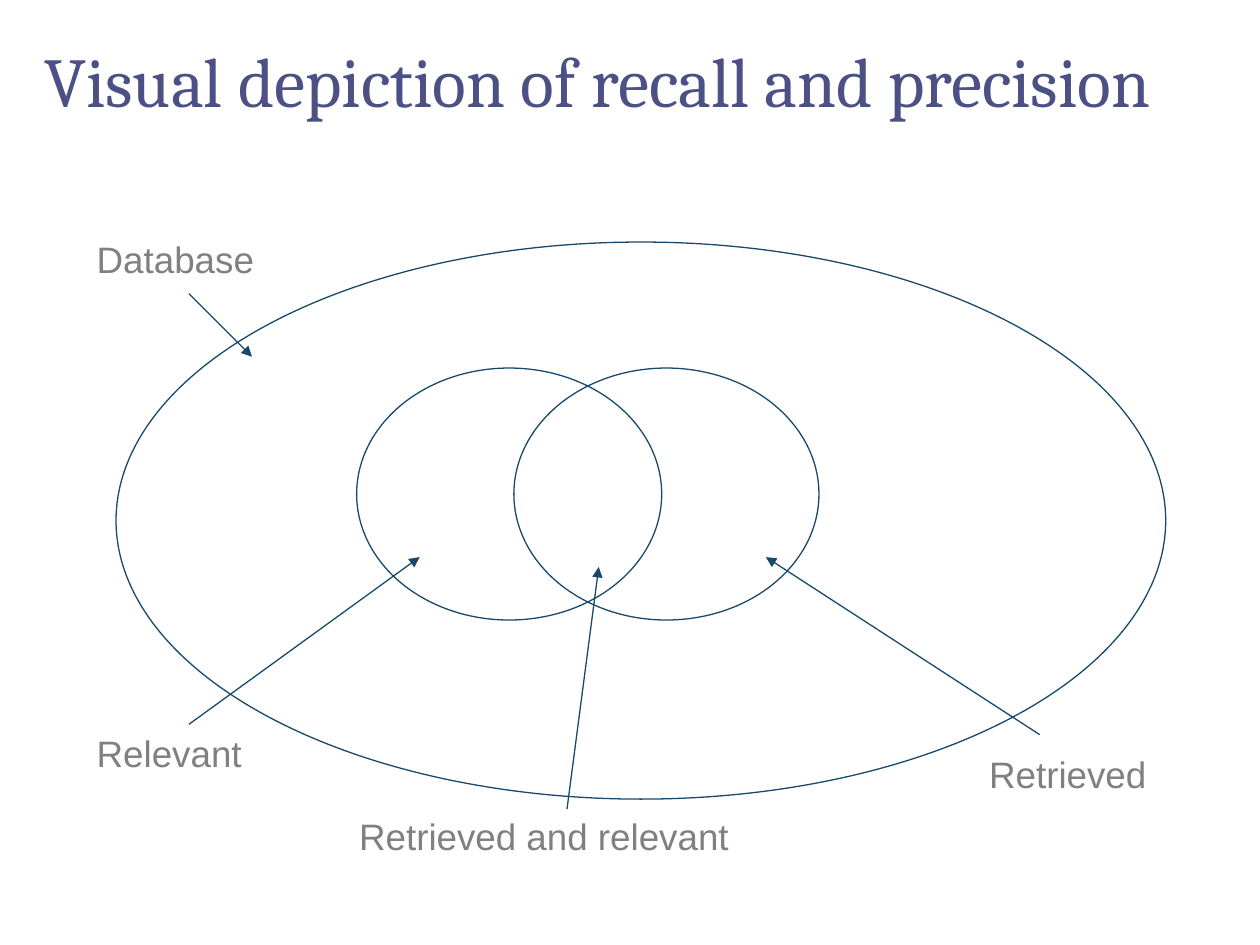
from pptx import Presentation
from pptx.dml.color import RGBColor
from pptx.enum.dml import MSO_LINE
from pptx.enum.shapes import MSO_CONNECTOR, MSO_SHAPE
from pptx.enum.text import MSO_ANCHOR, MSO_AUTO_SIZE, PP_ALIGN
from pptx.oxml.ns import qn
from pptx.util import Cm, Pt
from lxml import etree

OVAL, STRAIGHT, SOLID = MSO_SHAPE.OVAL, MSO_CONNECTOR.STRAIGHT, MSO_LINE.SOLID
LEFT, MIDDLE, FIT = PP_ALIGN.LEFT, MSO_ANCHOR.MIDDLE, MSO_AUTO_SIZE.SHAPE_TO_FIT_TEXT
TITLE_ONLY = 5


def color(value):
    return RGBColor.from_string(value)


class VennSlide:
    title_font = {"name": "Cambria", "size": Pt(40)}
    label_font = {"name": "Arial", "size": Pt(21)}
    title_color, label_color, line_color = "4B5185", "808080", "18496B"
    line_format = {"width": Pt(0.75), "dash_style": SOLID}

    def __init__(self, prs):
        self.s = prs.slides.add_slide(prs.slide_layouts[TITLE_ONLY])

    def add_text(self, p, text, font, text_color):
        p.alignment = LEFT
        r = p.add_run()
        r.text = text
        for name, value in font.items():
            setattr(r.font, name, value)
        r.font.color.rgb = color(text_color)

    def outline(self, shape):
        shape.line.color.rgb = color(self.line_color)
        for name, value in self.line_format.items():
            setattr(shape.line, name, value)

    def title(self, text, left, top, width, height):
        sp = self.s.shapes.title
        box = {"left": left, "top": top, "width": width, "height": height}
        for name, value in box.items():
            setattr(sp, name, Cm(value))
        tf = sp.text_frame
        tf.vertical_anchor = MIDDLE
        tf.paragraphs[0].line_spacing = 0.9
        self.add_text(tf.paragraphs[0], text, self.title_font, self.title_color)

    def ellipse(self, left, top, width, height):
        sp = self.s.shapes.add_shape(OVAL, Cm(left), Cm(top), Cm(width), Cm(height))
        sp.shadow.inherit = False
        sp.fill.background()
        self.outline(sp)

    def label(self, text, left, top, width):
        sp = self.s.shapes.add_textbox(Cm(left), Cm(top), Cm(width), Cm(1.14))
        tf = sp.text_frame
        tf.word_wrap = False
        tf.auto_size = FIT
        self.add_text(tf.paragraphs[0], text, self.label_font, self.label_color)

    def arrow(self, x1, y1, x2, y2):
        c = self.s.shapes.add_connector(STRAIGHT, Cm(x1), Cm(y1), Cm(x2), Cm(y2))
        self.outline(c)
        sp_pr = c.element.spPr
        etree.SubElement(sp_pr.find(qn("a:ln")), qn("a:tailEnd"), type="triangle")
        etree.SubElement(sp_pr, qn("a:effectLst"))


def main():
    prs = Presentation()
    prs.slide_width, prs.slide_height = Cm(25.4), Cm(19.05)
    venn = VennSlide(prs)
    venn.title("Visual depiction of recall and precision", 0.64, 0.43, 24.16, 2.54)

    # Database, with the relevant and retrieved sets inside it
    venn.ellipse(2.34, 4.88, 21.16, 11.23)
    for left in (7.19, 10.36):
        venn.ellipse(left, 7.42, 6.15, 5.08)

    # Labels, each with an arrow to its region
    for label, arrow in (
        (("Database", 1.7, 4.65, 3.71), (3.81, 5.92, 5.08, 7.19)),
        (("Relevant", 1.7, 14.6, 3.45), (3.81, 14.6, 8.46, 11.23)),
        (("Retrieved", 19.69, 15.04, 3.71), (20.96, 14.81, 15.44, 11.23)),
        (("Retrieved and relevant", 6.99, 16.28, 8.03), (11.43, 16.31, 12.07, 11.43)),
    ):
        venn.label(*label)
        venn.arrow(*arrow)

    prs.save("out.pptx")


if __name__ == "__main__":
    main()
